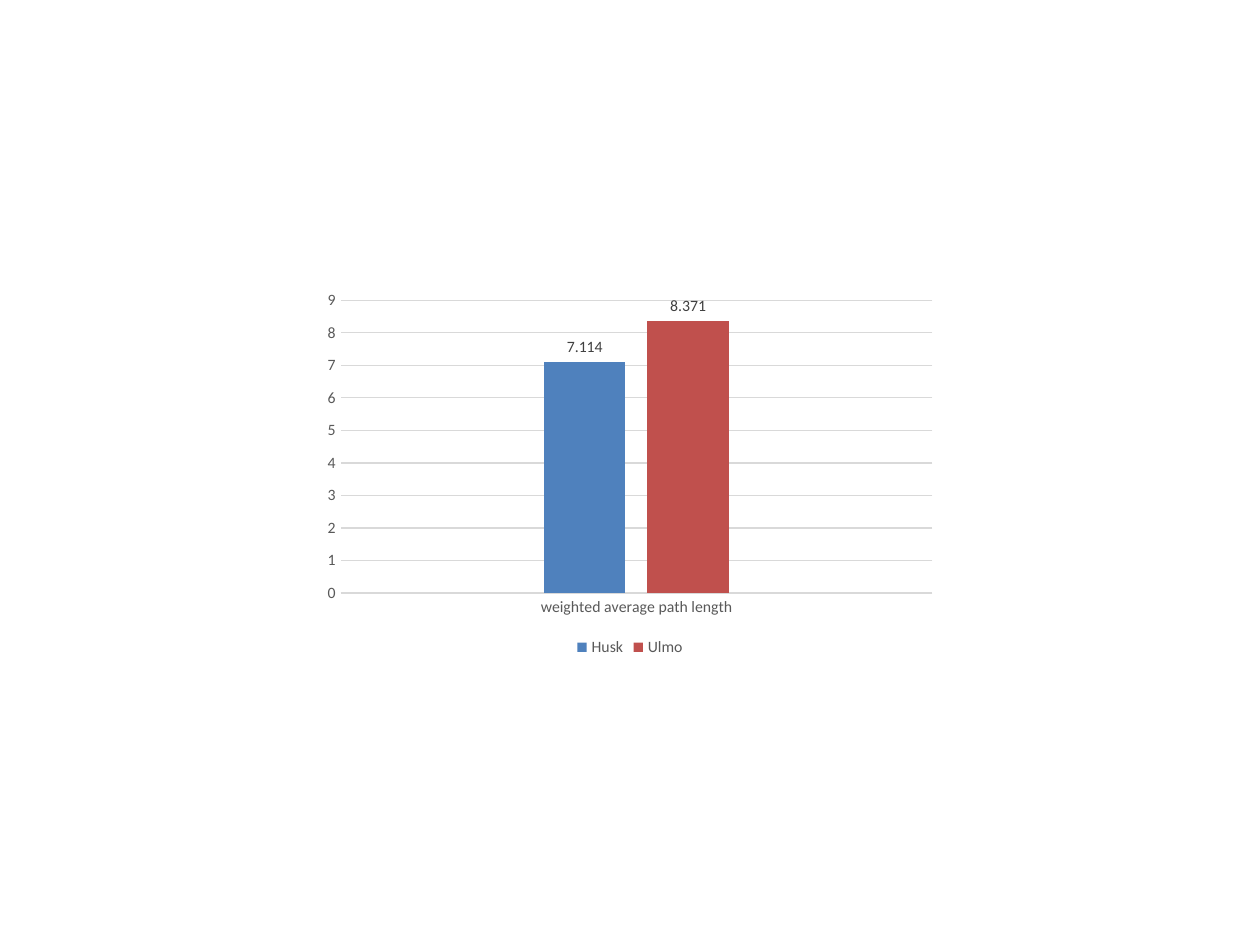
from dataclasses import dataclass

import pptx
import pptx.chart.data
import pptx.dml.color
import pptx.enum.chart
import pptx.util

Pt = pptx.util.Pt
COLORS = {
    "first": "4F81BD",
    "second": "C0504D",
    "text": "595959",
    "label": "404040",
    "line": "D9D9D9",
}


@dataclass
class Bar:
    """One series of the chart."""
    name: str
    value: float
    color: str


BARS = [Bar("Husk", 7.114, "first"), Bar("Ulmo", 8.371, "second")]


def rgb(name: str) -> pptx.dml.color.RGBColor:
    """Look up a named colour."""
    return pptx.dml.color.RGBColor.from_string(COLORS[name])


def style_font(font, color: str) -> None:
    """Set the chart's small text style."""
    font.name = "Calibri"
    font.size = Pt(9)
    font.bold = False
    font.color.rgb = rgb(color)


def style_line(line) -> None:
    """Set a thin grey line."""
    line.width = Pt(0.75)
    line.color.rgb = rgb("line")


def style_axis(axis) -> None:
    """Remove tick marks and set the label font."""
    axis.major_tick_mark = pptx.enum.chart.XL_TICK_MARK.NONE
    axis.minor_tick_mark = pptx.enum.chart.XL_TICK_MARK.NONE
    style_font(axis.tick_labels.font, "text")


def style_series(series, bar: Bar) -> None:
    """Fill the bars and show their values above them."""
    series.format.fill.solid()
    series.format.fill.fore_color.rgb = rgb(bar.color)
    series.format.line.fill.background()
    series.invert_if_negative = False
    labels = series.data_labels
    labels.show_value = True
    labels.position = pptx.enum.chart.XL_LABEL_POSITION.OUTSIDE_END
    style_font(labels.font, "label")


def add_path_chart(s) -> None:
    """Add the column chart of path lengths."""
    data = pptx.chart.data.CategoryChartData()
    data.categories = ["weighted average path length"]
    for bar in BARS:
        data.add_series(bar.name, [bar.value])
    chart = s.shapes.add_chart(
        pptx.enum.chart.XL_CHART_TYPE.COLUMN_CLUSTERED,
        Pt(180), Pt(162), Pt(360), Pt(216), data).chart
    chart.has_title = False
    chart.font.name = "Calibri"
    chart.font.size = Pt(10)

    plot = chart.plots[0]
    plot.vary_by_categories = False
    plot.gap_width = 500
    plot.overlap = -27
    for series, bar in zip(plot.series, BARS):
        style_series(series, bar)

    for axis in (chart.category_axis, chart.value_axis):
        style_axis(axis)
    style_line(chart.category_axis.format.line)
    chart.value_axis.minimum_scale = 0
    chart.value_axis.format.line.fill.background()
    style_line(chart.value_axis.major_gridlines.format.line)

    chart.has_legend = True
    chart.legend.position = pptx.enum.chart.XL_LEGEND_POSITION.BOTTOM
    chart.legend.include_in_layout = False
    style_font(chart.legend.font, "text")


def main() -> None:
    """Build and save the slide."""
    prs = pptx.Presentation()
    prs.slide_width, prs.slide_height = Pt(720), Pt(540)
    s = prs.slides.add_slide(prs.slide_layouts[6])
    add_path_chart(s)
    prs.save("out.pptx")


main()
